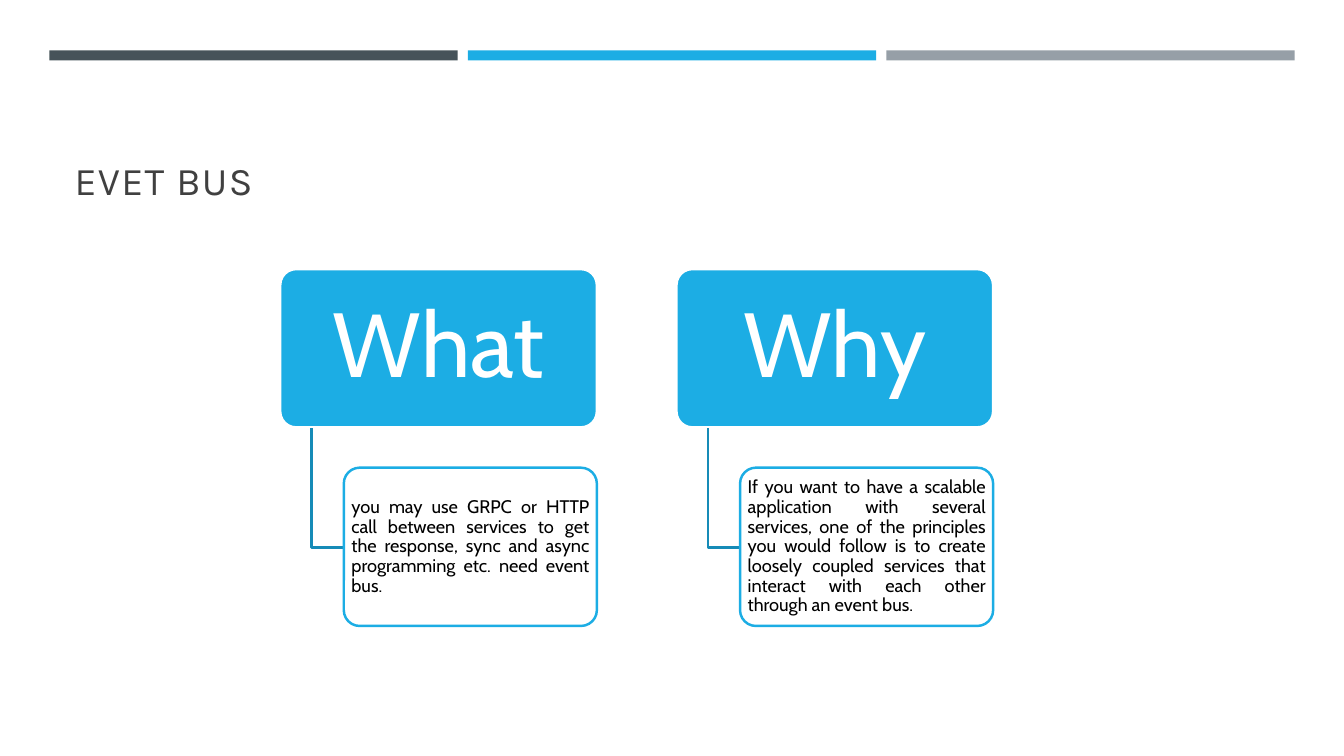
from lxml import etree
from pptx import Presentation
from pptx.dml.color import RGBColor
from pptx.enum import shapes, text
from pptx.oxml.ns import qn
from pptx.util import Inches, Pt

BLUE = "1CADE4"
WHITE = "FFFFFF"
COLUMN_STEP = 3.93


def color(hex_value):
    return RGBColor.from_string(hex_value)


def add_text(frame, words, size, font, hex_value, align, spacing=None):
    para = frame.paragraphs[0]
    para.alignment = align
    para.line_spacing = spacing
    span = para.add_run()
    span.text = words
    span.font.size = Pt(size)
    span.font.name = font
    span.font.color.rgb = color(hex_value)
    return span


def add_block(page, kind, left, top, width, height, fill, line=None):
    box = page.shapes.add_shape(
        kind, Inches(left), Inches(top), Inches(width), Inches(height))
    box.shadow.inherit = False
    box.fill.solid()
    box.fill.fore_color.rgb = color(fill)
    if line:
        box.line.color.rgb = color(line)
        box.line.width = Pt(1.75)
    else:
        box.line.fill.background()
    return box


def add_card(page, left, top, width, fill, line, words, size, ink, align, inset):
    box = add_block(page, shapes.MSO_SHAPE.ROUNDED_RECTANGLE,
                    left, top, width, 1.57, fill, line)
    box.adjustments[0] = 0.1
    frame = box.text_frame
    frame.word_wrap = True
    frame.vertical_anchor = text.MSO_ANCHOR.MIDDLE
    frame.margin_left = frame.margin_right = Inches(inset[0])
    frame.margin_top = frame.margin_bottom = Inches(inset[1])
    add_text(frame, words, size, "Cabin", ink, align, 0.9)
    return box


def add_elbow(page, left, top, right, bottom):
    builder = page.shapes.build_freeform(Inches(left), Inches(top))
    builder.add_line_segments(
        [(Inches(left), Inches(bottom)), (Inches(right), Inches(bottom))],
        close=False)
    elbow = builder.convert_to_shape()
    elbow.shadow.inherit = False
    elbow.fill.background()
    elbow.line.color.rgb = color("168BB7")
    elbow.line.width = Pt(1.75)


def add_branch(page, left, heading, detail):
    add_card(page, left, 2.67, 3.14, BLUE, WHITE, heading, 65, WHITE,
             text.PP_ALIGN.CENTER, (0.14, 0.09))
    add_elbow(page, left + 0.31, 4.25, left + 0.63, 5.43)
    card = add_card(page, left + 0.63, 4.64, 2.51, WHITE, BLUE, detail, 13,
                    "000000", text.PP_ALIGN.JUSTIFY, (0.03, 0.02))
    # Slightly transparent card fill
    tint = card.fill._xPr.find(qn("a:solidFill"))[0]
    etree.SubElement(tint, qn("a:alpha")).set("val", "90000")


def add_title(page, words):
    title = page.shapes.title
    title.left, title.top = Inches(0.64), Inches(0.77)
    title.width, title.height = Inches(12.06), Inches(1.3)
    title.text_frame.vertical_anchor = text.MSO_ANCHOR.BOTTOM
    span = add_text(title.text_frame, words, 28, "Karla", "404040",
                    text.PP_ALIGN.LEFT)
    span.font._element.set("spc", "100")


def main():
    deck = Presentation()
    deck.slide_width, deck.slide_height = Inches(13.33), Inches(7.5)
    page = deck.slides.add_slide(deck.slide_layouts[5])

    # Top bars
    for index, fill in enumerate(("465359", BLUE, "969FA7")):
        add_block(page, shapes.MSO_SHAPE.RECTANGLE,
                  0.49 + index * 4.15, 0.5, 4.05, 0.1, fill)

    add_title(page, "EVET BUS")

    # Question columns
    branches = (
        ("What", "you may use GRPC or HTTP call between services to get the "
                 "response, sync and async programming etc. need event bus."),
        ("Why", "If you want to have a scalable application with several "
                "services, one of the principles you would follow is to create "
                "loosely coupled services that interact with each other "
                "through an event bus."),
    )
    for index, (heading, detail) in enumerate(branches):
        add_branch(page, 2.78 + index * COLUMN_STEP, heading, detail)

    deck.save("out.pptx")


if __name__ == "__main__":
    main()
